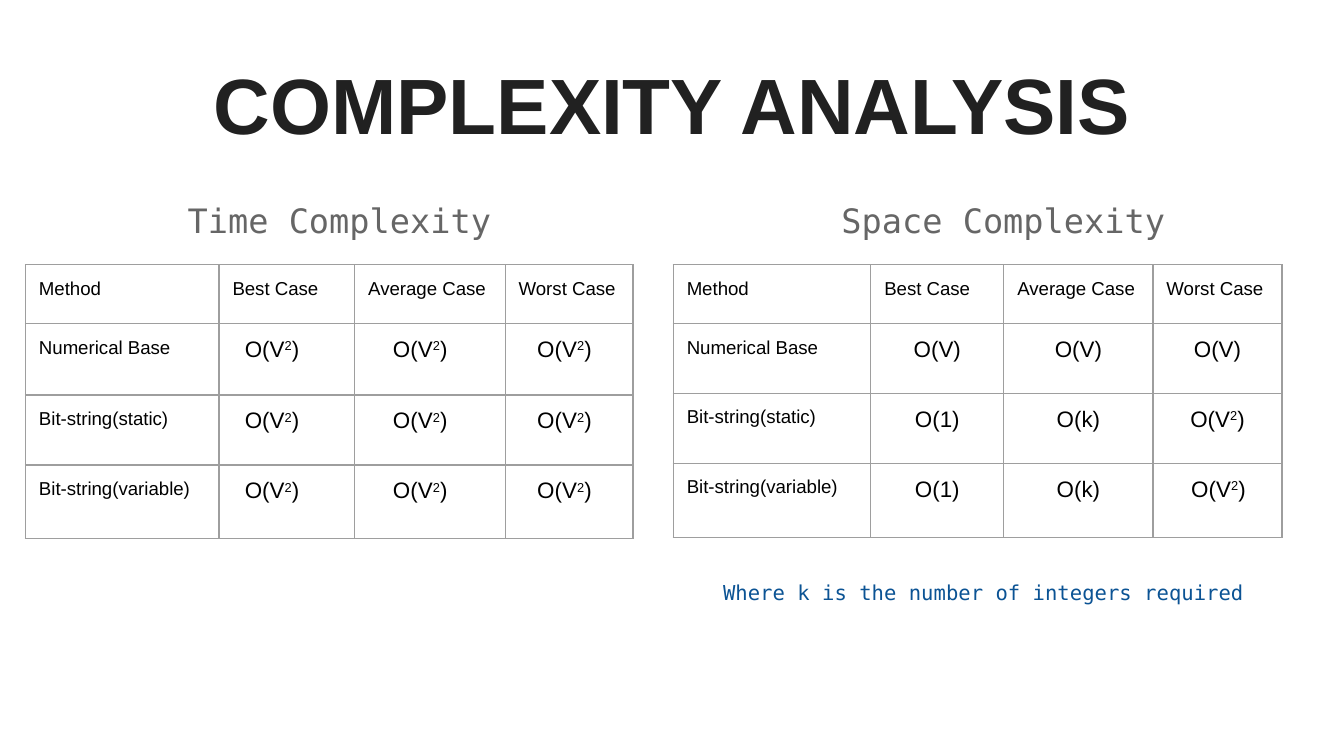
from lxml.etree import SubElement
from pptx import Presentation
from pptx.dml.color import RGBColor
from pptx.enum.text import MSO_ANCHOR, MSO_AUTO_SIZE, PP_ALIGN
from pptx.oxml.ns import qn
from pptx.util import Inches, Pt

HUES = {"title": "212121", "head": "666666", "note": "0B5394",
        "text": "000000", "edge": "9E9E9E"}
SANS, MONO = "Arial", "DejaVu Sans Mono"
WIDE = 10
HIGH = WIDE * 9 / 16
PAD, SPACE = 0.1, 0.046
HEADS = ["Method", "Best Case", "Average Case", "Worst Case"]
NAMES = ["Numerical Base", "Bit-string(static)", "Bit-string(variable)"]
TIME = [["O(V2)"] * 3] * 3
ROOM = [["O(V)"] * 3, ["O(1)", "O(k)", "O(V2)"], ["O(1)", "O(k)", "O(V2)"]]


def style(item, **form):
    """Set each given attribute on the item."""
    for name, value in form.items():
        setattr(item, name, value)


def write(para, text, size, face, hue, bold=False):
    """Add a run of formatted text to a paragraph."""
    run = para.add_run()
    run.text = text
    style(run.font, size=Pt(size), name=face, bold=bold)
    run.font.color.rgb = RGBColor.from_string(HUES[hue])
    return run


def pad(item, left=PAD):
    """Set the inner margins of a cell or text frame."""
    style(item, margin_left=Inches(left), margin_right=Inches(PAD),
          margin_top=Inches(PAD), margin_bottom=Inches(PAD))


def place(shape, left, top, width, height):
    """Move a placeholder and return its text frame."""
    style(shape, left=Inches(left), top=Inches(top),
          width=Inches(width), height=Inches(height))
    frame = shape.text_frame
    style(frame, word_wrap=True, auto_size=MSO_AUTO_SIZE.NONE,
          vertical_anchor=MSO_ANCHOR.TOP)
    pad(frame)
    return frame


def line(para, text, size, hue, align, before=0):
    """Fill a body paragraph that has no bullet."""
    style(para, alignment=align, line_spacing=1.15,
          space_before=Pt(before), space_after=Pt(16))
    props = para._p.get_or_add_pPr()
    for name in ("marL", "indent"):
        props.set(name, "0")
    SubElement(props, qn("a:buNone"))
    write(para, text, size, MONO, hue)


def border(cell):
    """Draw thin lines on all four sides of a cell."""
    props = cell._tc.get_or_add_tcPr()
    for side in ("L", "R", "T", "B"):
        edge = SubElement(props, qn(f"a:ln{side}"), w=str(Pt(0.75)))
        paint = SubElement(edge, qn("a:solidFill"))
        SubElement(paint, qn("a:srgbClr"), val=HUES["edge"])


def fill(cell, text, size, align, gap=0):
    """Write a cell, raising any power of two."""
    pad(cell, PAD + gap * SPACE)
    border(cell)
    cell.fill.background()
    para = cell.text_frame.paragraphs[0]
    para.alignment = align
    for part in filter(None, text.partition("2")):
        run = write(para, part, size, SANS, "text")
        if part == "2":
            run._r.get_or_add_rPr().set("baseline", "30000")


def grid(slide, left, cols, rows, costs, gaps):
    """Add a table of costs; gaps give left indents in spaces, or None to centre."""
    table = slide.shapes.add_table(
        len(rows), len(cols), Inches(left), Inches(1.97),
        Inches(sum(cols)), Inches(sum(rows))).table
    style(table, first_row=False, horz_banding=False)
    for col, width in zip(table.columns, cols):
        col.width = Inches(width)
    for row, height in zip(table.rows, rows):
        row.height = Inches(height)
    for c, head in enumerate(HEADS):
        fill(table.cell(0, c), head, 10, PP_ALIGN.LEFT)
    for r, (name, vals) in enumerate(zip(NAMES, costs)):
        fill(table.cell(r + 1, 0), name, 10, PP_ALIGN.LEFT)
        for c, (val, gap) in enumerate(zip(vals, gaps[r])):
            align = PP_ALIGN.CENTER if gap is None else PP_ALIGN.LEFT
            fill(table.cell(r + 1, c + 1), val, 12, align, gap or 0)


def main():
    """Build and save the slide."""
    deck = Presentation()
    style(deck, slide_width=Inches(WIDE), slide_height=Inches(HIGH))
    slide = deck.slides.add_slide(deck.slide_layouts[3])
    title, *bodies = slide.placeholders

    para = place(title, 0.34, 0.32, 9.32, 0.88).paragraphs[0]
    para.alignment = PP_ALIGN.CENTER
    write(para, "COMPLEXITY ANALYSIS", 42, SANS, "title", True)

    for body, left, head in zip(bodies, (0.34, 5.28),
                                ("Time Complexity", "Space Complexity")):
        frame = place(body, left, 1.34, 4.37, 3.65)
        line(frame.paragraphs[0], head, 18, "head", PP_ALIGN.CENTER)
    line(frame.add_paragraph(), "Where k is the number of integers required",
         11, "note", PP_ALIGN.LEFT, before=164)

    grid(slide, 0.19, [1.44, 1.01, 1.12, 0.95], [0.44, 0.53, 0.52, 0.55],
         TIME, [[2, 4, 3]] * 3)
    grid(slide, 5.01, [1.47, 0.99, 1.11, 0.96], [0.44, 0.52, 0.52, 0.55],
         ROOM, [[None] * 3, [None] * 3, [None, None, 4]])
    deck.save("out.pptx")


if __name__ == "__main__":
    main()
